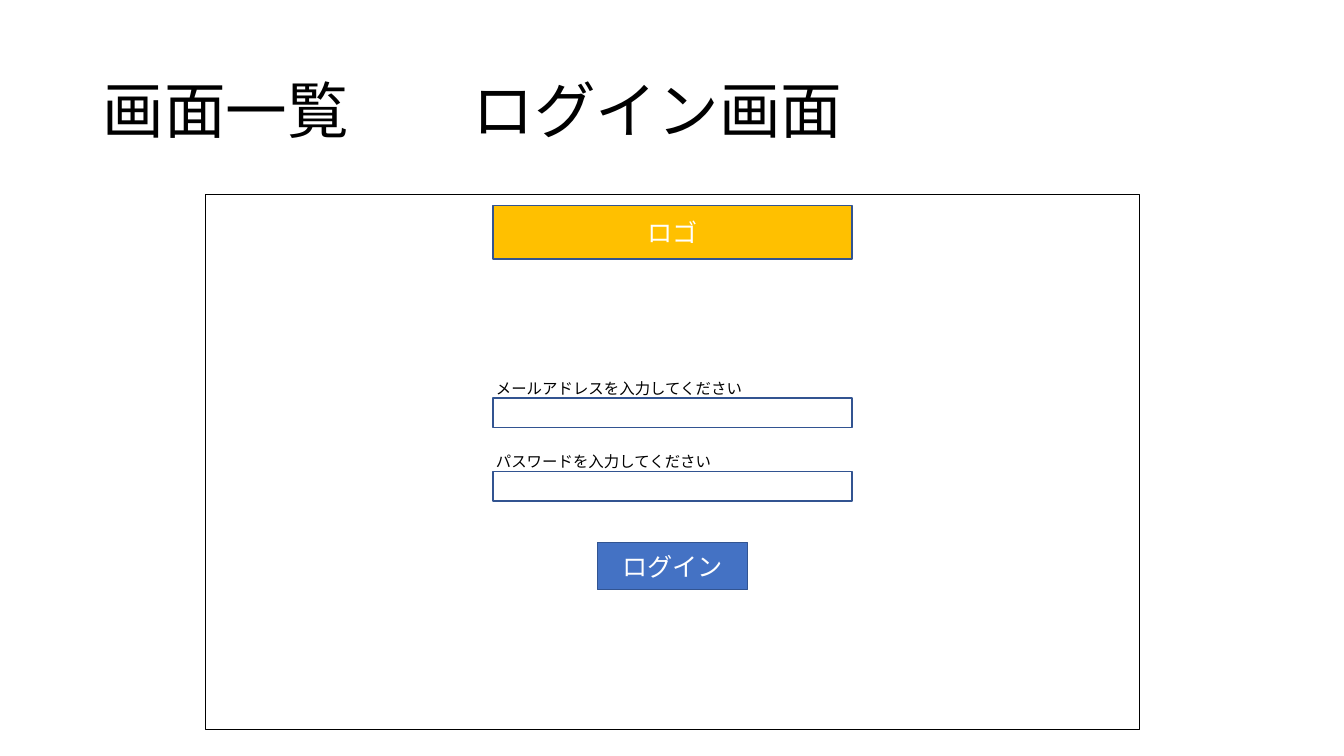
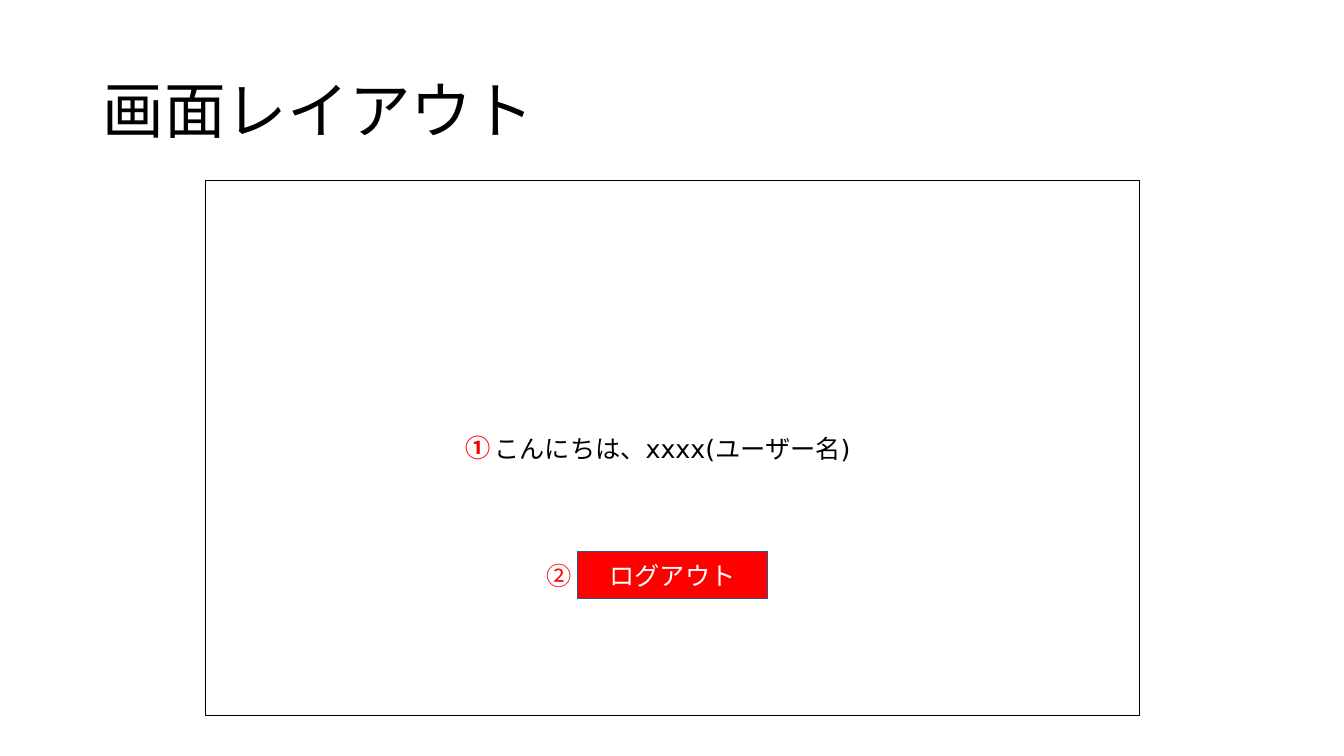
from dataclasses import dataclass

from lxml.etree import SubElement
from pptx import Presentation
from pptx.dml.color import RGBColor
from pptx.enum.shapes import MSO_SHAPE
from pptx.enum.text import MSO_ANCHOR, PP_ALIGN
from pptx.oxml.ns import qn
from pptx.util import Inches, Pt


@dataclass(frozen=True)
class Theme:
    """Colours, fonts and type sizes that the slides share."""
    black: str = "000000"
    white: str = "FFFFFF"
    gold: str = "FFC000"
    blue: str = "4472C4"
    navy: str = "325491"
    red: str = "FF0000"
    font: str = "Noto Sans CJK JP"
    latin: str = "DejaVu Sans"
    head: int = 44
    body: int = 18
    small: int = 11


THEME = Theme()
MID = 6.67  # centre line of the mock screen


def write(frame, text, size, color, font=THEME.font, bold=False):
    """Put one styled line of text in a frame and return its paragraph."""
    frame.text = text
    para = frame.paragraphs[0]
    for run in para.runs:
        run.font.size = Pt(size)
        run.font.bold = bold
        run.font.name = font
        run.font.color.rgb = RGBColor.from_string(color)
        SubElement(run.font._element, qn("a:ea"), typeface=THEME.font)
    return para


def add_title(slide, text, tab=None):
    """Add the slide title, with a tab stop where it has two parts."""
    box = slide.shapes.add_textbox(
        Inches(0.92), Inches(0.4), Inches(11.5), Inches(1.45))
    frame = box.text_frame
    frame.word_wrap = True
    frame.vertical_anchor = MSO_ANCHOR.MIDDLE
    para = write(frame, text, THEME.head, THEME.black)
    para.line_spacing = 0.9
    if tab:
        stops = SubElement(para._p.get_or_add_pPr(), qn("a:tabLst"))
        SubElement(stops, qn("a:tab"), pos=str(Inches(tab)), algn="l")


def add_box(slide, top, width, height, fill=THEME.white, line=THEME.navy):
    """Add a thin-lined rectangle on the centre line; return its frame."""
    box = slide.shapes.add_shape(
        MSO_SHAPE.RECTANGLE, Inches(MID - width / 2), Inches(top),
        Inches(width), Inches(height))
    box.shadow.inherit = False
    box.fill.solid()
    box.fill.fore_color.rgb = RGBColor.from_string(fill)
    box.line.color.rgb = RGBColor.from_string(line)
    box.line.width = Pt(1)
    frame = box.text_frame
    frame.vertical_anchor = MSO_ANCHOR.MIDDLE
    return frame


def add_screen(slide, top):
    """Add the outline of the mock screen."""
    return add_box(slide, top, 9.26, 5.31, line=THEME.black)


def add_button(slide, text, top, width, height, fill):
    """Add a filled bar with a white centred caption."""
    frame = add_box(slide, top, width, height, fill)
    para = write(frame, text, THEME.body, THEME.white)
    para.alignment = PP_ALIGN.CENTER


def add_label(slide, text, left, top, width, height, size, color, bold=False):
    """Add a short line of text that does not wrap."""
    box = slide.shapes.add_textbox(
        Inches(left), Inches(top), Inches(width), Inches(height))
    box.text_frame.word_wrap = False
    write(box.text_frame, text, size, color, bold=bold)


def add_field(slide, text, top, width):
    """Add an input field with its prompt above."""
    add_box(slide, top, 3.56, 0.29)
    add_label(slide, text, 4.82, top - 0.24, width, 0.29,
              THEME.small, THEME.black)


def add_mark(slide, text, left, top, bold=False):
    """Add a red circled number."""
    add_label(slide, text, left, top, 0.45, 0.4,
              THEME.body, THEME.red, bold)


def draw_login(slide):
    """Draw the login screen."""
    add_title(slide, "画面一覧\tログイン画面", tab=3.67)
    add_screen(slide, 1.93)
    add_button(slide, "ロゴ", 2.04, 3.56, 0.53, THEME.gold)
    add_field(slide, "メールアドレスを入力してください", 3.95, 2.67)
    add_field(slide, "パスワードを入力してください", 4.68, 2.36)
    add_button(slide, "ログイン", 5.38, 1.49, 0.47, THEME.blue)


def draw_layout(slide):
    """Draw the screen that greets the user."""
    add_title(slide, "画面レイアウト")
    screen = add_screen(slide, 1.79)
    hello = write(screen, "こんにちは、xxxx(ユーザー名)", THEME.body,
                  THEME.black, THEME.latin)
    hello.alignment = PP_ALIGN.CENTER
    add_button(slide, "ログアウト", 5.47, 1.88, 0.47, THEME.red)
    add_mark(slide, "①", 4.52, 4.24, bold=True)
    add_mark(slide, "②", 5.32, 5.51)


def main():
    """Build both slides and save the deck."""
    deck = Presentation()
    deck.slide_width = Inches(13.33)
    deck.slide_height = Inches(7.5)
    for draw in (draw_login, draw_layout):
        draw(deck.slides.add_slide(deck.slide_layouts[6]))
    deck.save("out.pptx")


main()
